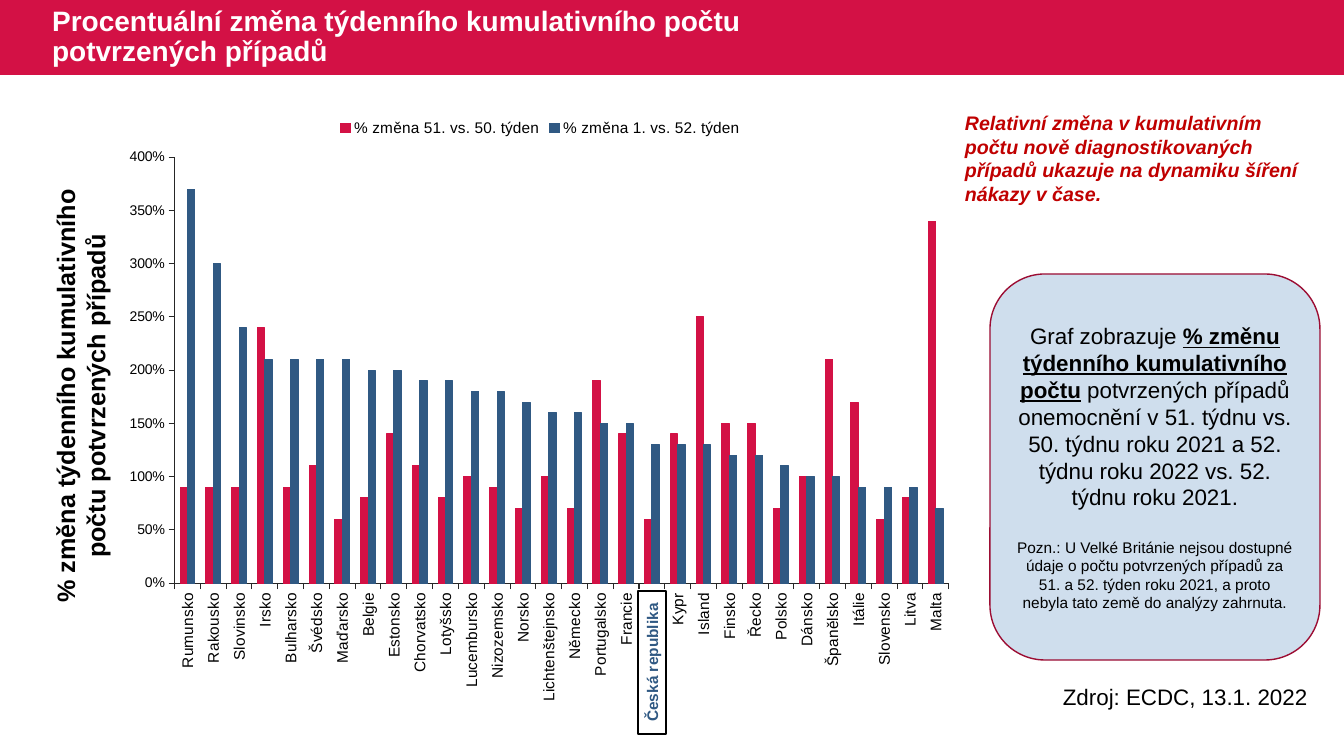
from collections import namedtuple

from lxml import etree
from pptx import Presentation
from pptx import util as u
from pptx.chart import data as chart_data
from pptx.dml import color
from pptx.enum import chart as ch
from pptx.enum import shapes, text

FONT = "Arial"
COLORS = {
    "crimson": "D31145", "blue": "305983", "pale": "CFDEED", "border": "9C0D33",
    "red": "C00000", "axis": "262626", "black": "000000", "white": "FFFFFF",
}
CHANGES = [
    ("Rumunsko", 0.9, 3.7), ("Rakousko", 0.9, 3), ("Slovinsko", 0.9, 2.4),
    ("Irsko", 2.4, 2.1), ("Bulharsko", 0.9, 2.1), ("Švédsko", 1.1, 2.1),
    ("Maďarsko", 0.6, 2.1), ("Belgie", 0.8, 2), ("Estonsko", 1.4, 2),
    ("Chorvatsko", 1.1, 1.9), ("Lotyšsko", 0.8, 1.9), ("Lucembursko", 1, 1.8),
    ("Nizozemsko", 0.9, 1.8), ("Norsko", 0.7, 1.7), ("Lichtenštejnsko", 1, 1.6),
    ("Německo", 0.7, 1.6), ("Portugalsko", 1.9, 1.5), ("Francie", 1.4, 1.5),
    ("Česká republika", 0.6, 1.3), ("Kypr", 1.4, 1.3), ("Island", 2.5, 1.3),
    ("Finsko", 1.5, 1.2), ("Řecko", 1.5, 1.2), ("Polsko", 0.7, 1.1),
    ("Dánsko", 1, 1), ("Španělsko", 2.1, 1), ("Itálie", 1.7, 0.9),
    ("Slovensko", 0.6, 0.9), ("Litva", 0.8, 0.9), ("Malta", 3.4, 0.7),
]
Box = namedtuple("Box", "left top width height")


def px(length):
    return round(length * 914400 / 100.8)


def emu(box):
    return [px(side) for side in box]


def inside(box, left, top, width, height):
    return Box(box.left + left, box.top + top, width, height)


def upright(box):
    shift = (box.width - box.height) / 2
    return Box(box.left + shift, box.top - shift, box.height, box.width)


def rgb(name):
    return color.RGBColor.from_string(COLORS[name])


def style(font, size, tint="black", bold=False, italic=False, underline=False):
    font.name, font.size = FONT, u.Pt(size)
    font.bold, font.italic, font.underline = bold, italic, underline
    font.color.rgb = rgb(tint)


def write(paragraph, words, size, align=text.PP_ALIGN.LEFT, **look):
    paragraph.alignment = align
    run = paragraph.add_run()
    run.text = words
    style(run.font, size, **look)


def add_label(slide, box, words, size, **look):
    label = slide.shapes.add_textbox(*emu(box))
    label.text_frame.word_wrap = True
    write(label.text_frame.paragraphs[0], words, size, **look)
    return label


def add_panel(slide, box, kind, fill, line=None):
    panel = slide.shapes.add_shape(kind, *emu(box))
    panel.shadow.inherit = False
    panel.fill.solid()
    panel.fill.fore_color.rgb = rgb(fill)
    if line:
        panel.line.color.rgb = rgb(line)
        panel.line.width = u.Pt(1)
    else:
        panel.line.fill.background()
    panel.text_frame.word_wrap = True
    panel.text_frame.vertical_anchor = text.MSO_ANCHOR.MIDDLE
    return panel


def add_header(slide, box):
    banner = add_panel(slide, box, shapes.MSO_SHAPE.RECTANGLE, "crimson")
    slide.shapes._spTree.insert(2, banner._element)
    title = slide.shapes.title
    title.left, title.top, title.width, title.height = emu(inside(box, 42, 0, 823, box.height))
    frame = title.text_frame
    frame.word_wrap = True
    frame.auto_size = text.MSO_AUTO_SIZE.NONE
    frame.vertical_anchor = text.MSO_ANCHOR.MIDDLE
    heading = frame.paragraphs[0]
    heading.line_spacing = 0.9
    write(heading, "Procentuální změna týdenního kumulativního počtu potvrzených případů",
          20, tint="white", bold=True)


def place_plot(chart, left, top, width, height):
    area = chart._chartSpace.chart.plotArea
    space = area.tag.split("}")[0] + "}"
    for old in area.findall(space + "layout"):
        area.remove(old)
    layout = etree.Element(space + "layout")
    manual = etree.SubElement(layout, space + "manualLayout")
    settings = [("layoutTarget", "inner"), ("xMode", "edge"), ("yMode", "edge"),
                ("x", left), ("y", top), ("w", width), ("h", height)]
    for tag, value in settings:
        etree.SubElement(manual, space + tag, val=str(value))
    area.insert(0, layout)


def format_axis(axis, size):
    axis.has_major_gridlines = False
    axis.major_tick_mark = ch.XL_TICK_MARK.OUTSIDE
    axis.minor_tick_mark = ch.XL_TICK_MARK.NONE
    axis.format.line.color.rgb = rgb("axis")
    axis.format.line.width = u.Pt(0.75)
    style(axis.tick_labels.font, size)


def add_changes(slide, box):
    changes = chart_data.CategoryChartData(number_format="0%")
    countries, before, after = zip(*CHANGES)
    changes.categories = countries
    changes.add_series("% změna 51. vs. 50. týden", before)
    changes.add_series("% změna 1. vs. 52. týden", after)
    chart = slide.shapes.add_chart(
        ch.XL_CHART_TYPE.COLUMN_CLUSTERED, *emu(box), changes).chart
    style(chart.font, 10)
    chart.has_title = False
    chart.has_legend = True
    chart.legend.position = ch.XL_LEGEND_POSITION.TOP
    chart.legend.include_in_layout = False
    style(chart.legend.font, 11)
    format_axis(chart.category_axis, 11)
    chart.category_axis._element.txPr.bodyPr.set("rot", "-5400000")
    percent = chart.value_axis
    format_axis(percent, 10)
    percent.minimum_scale, percent.maximum_scale, percent.major_unit = 0, 4, 0.5
    percent.tick_labels.number_format = "0%"
    percent.tick_labels.number_format_is_linked = False
    columns = chart.plots[0]
    columns.vary_by_categories = False
    columns.gap_width, columns.overlap = 150, 0
    for weeks, tint in zip(columns.series, ("crimson", "blue")):
        weeks.format.fill.solid()
        weeks.format.fill.fore_color.rgb = rgb(tint)
        weeks.format.line.color.rgb = rgb(tint)
        weeks.format.line.width = u.Pt(0.75)
    place_plot(chart, 0.068, 0.082, 0.914, 0.71)


def add_chart_region(slide, box):
    axis_name = add_label(
        slide, upright(inside(box, 0, 60, 72, 456)),
        "% změna týdenního kumulativního počtu potvrzených případů",
        18, align=text.PP_ALIGN.CENTER, bold=True)
    axis_name.rotation = 270
    add_changes(slide, inside(box, 72, 0, 847, 600))
    czechia = add_panel(slide, upright(inside(box, 593, 483, 28, 143)),
                        shapes.MSO_SHAPE.RECTANGLE, "white", "black")
    czechia.rotation = 270
    write(czechia.text_frame.paragraphs[0], "Česká republika", 11,
          align=text.PP_ALIGN.CENTER, tint="blue", bold=True)


def add_commentary(slide, box):
    add_label(slide, inside(box, 0, 0, 370, 105),
              "Relativní změna v kumulativním počtu nově diagnostikovaných případů "
              "ukazuje na dynamiku šíření nákazy v čase.",
              14, tint="red", bold=True, italic=True)
    explanation = add_panel(slide, inside(box, 35, 168, 330, 386),
                            shapes.MSO_SHAPE.ROUNDED_RECTANGLE, "pale", "border").text_frame
    for words, strong in [
        ("Graf zobrazuje ", False),
        ("% změnu týdenního kumulativního", True),
        (" ", False),
        ("počtu", True),
        (" potvrzených případů onemocnění v 51. týdnu vs. 50. týdnu roku 2021 "
         "a 52. týdnu roku 2022 vs. 52. týdnu roku 2021.", False),
    ]:
        write(explanation.paragraphs[0], words, 16, align=text.PP_ALIGN.CENTER,
              bold=strong, underline=strong)
    note = explanation.add_paragraph()
    note.space_before = u.Pt(19.5)
    write(note, "Pozn.: U Velké Británie nejsou dostupné údaje o počtu potvrzených případů "
          "za 51. a 52. týden roku 2021, a proto nebyla tato země do analýzy zahrnuta.",
          11, align=text.PP_ALIGN.CENTER)
    add_label(slide, inside(box, 98, 572, 290, 37), "Zdroj: ECDC, 13.1. 2022", 16)


def main():
    deck = Presentation()
    deck.slide_width, deck.slide_height = px(1344), px(756)
    slide = deck.slides.add_slide(deck.slide_layouts[5])
    add_header(slide, Box(0, 0, 1344, 75))
    add_chart_region(slide, Box(45, 108, 919, 626))
    add_commentary(slide, Box(955, 106, 388, 609))
    deck.save("out.pptx")


if __name__ == "__main__":
    main()
